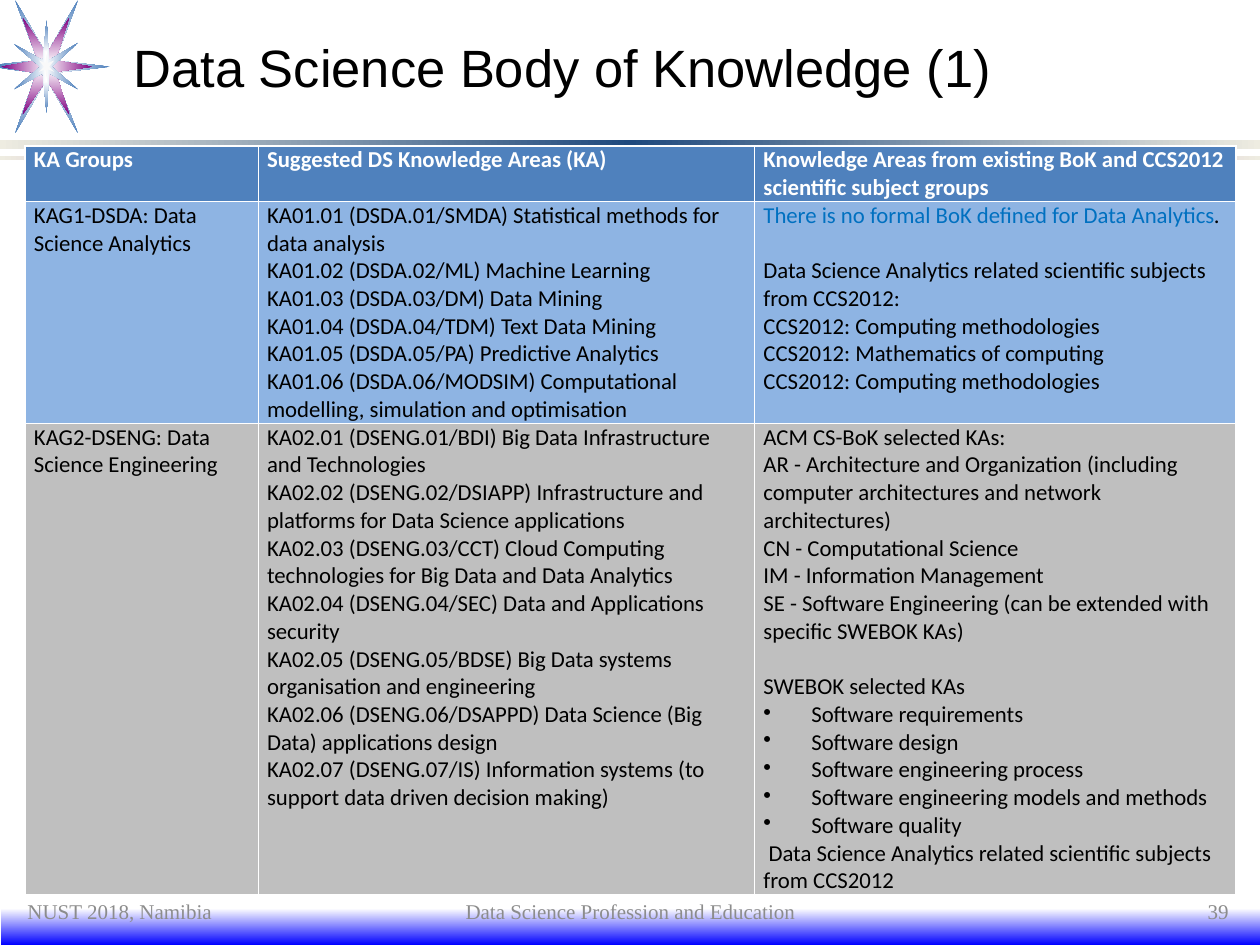
from dataclasses import dataclass

from lxml import etree
from pptx import Presentation
from pptx.dml.color import RGBColor
from pptx.enum import shapes, text
from pptx.oxml import ns
from pptx.util import Inches, Pt


@dataclass(frozen=True)
class Theme:
    black: str = "000000"
    white: str = "FFFFFF"
    blue: str = "4F81BD"
    navy: str = "1F497D"
    purple: str = "800080"
    ivory: str = "EEECE1"
    bright: str = "0000FF"
    core: str = "F9F9F9"
    analytics: str = "8EB4E3"
    engineering: str = "BFBFBF"
    note: str = "0070C0"
    grey: str = "8C8C8C"
    title_font: str = "Arial"
    table_font: str = "Calibri"
    footer_font: str = "Times New Roman"
    title_size: int = 30
    table_size: int = 13
    footer_size: int = 12


THEME = Theme()
ALIGN = text.PP_ALIGN
LINE_HEIGHT = 0.22  # one line of table text, in inches
BULLET = "• "
GAP = "^"  # marks a paragraph with one empty line above it

HEADINGS = (
    "KA Groups",
    "Suggested DS Knowledge Areas (KA)",
    "Knowledge Areas from existing BoK and CCS2012 scientific subject groups",
)
ANALYTICS = (
    "KAG1-DSDA: Data Science Analytics",
    """KA01.01 (DSDA.01/SMDA) Statistical methods for data analysis
KA01.02 (DSDA.02/ML) Machine Learning
KA01.03 (DSDA.03/DM) Data Mining
KA01.04 (DSDA.04/TDM) Text Data Mining
KA01.05 (DSDA.05/PA) Predictive Analytics
KA01.06 (DSDA.06/MODSIM) Computational modelling, simulation and optimisation""",
    """There is no formal BoK defined for Data Analytics.
^Data Science Analytics related scientific subjects from CCS2012:
CCS2012: Computing methodologies
CCS2012: Mathematics of computing
CCS2012: Computing methodologies""",
)
ENGINEERING = (
    "KAG2-DSENG: Data Science Engineering",
    """KA02.01 (DSENG.01/BDI) Big Data Infrastructure and Technologies
KA02.02 (DSENG.02/DSIAPP) Infrastructure and platforms for Data Science applications
KA02.03 (DSENG.03/CCT) Cloud Computing technologies for Big Data and Data Analytics
KA02.04 (DSENG.04/SEC) Data and Applications security
KA02.05 (DSENG.05/BDSE) Big Data systems organisation and engineering
KA02.06 (DSENG.06/DSAPPD) Data Science (Big Data) applications design
KA02.07 (DSENG.07/IS) Information systems (to support data driven decision making)""",
    """ACM CS-BoK selected KAs:
AR - Architecture and Organization (including computer architectures and network architectures)
CN - Computational Science
IM - Information Management
SE - Software Engineering (can be extended with specific SWEBOK KAs)
^SWEBOK selected KAs
• Software requirements
• Software design
• Software engineering process
• Software engineering models and methods
• Software quality
 Data Science Analytics related scientific subjects from CCS2012""",
)

# Star outlines, in hundredths of an inch
OUTER_STAR = [(30, 48), (12, 0), (37, 43), (62, 0), (44, 48), (87, 53), (43, 58),
              (62, 106), (37, 63), (12, 106), (29, 58), (0, 54), (0, 51)]
MIDDLE_STAR = [(30, 48), (18, 14), (37, 43), (55, 14), (44, 48), (73, 53),
               (44, 57), (55, 91), (37, 63), (18, 91), (29, 58), (1, 53)]
INNER_STAR = [(11, 35), (34, 48), (37, 16), (39, 48), (62, 34), (41, 53),
              (62, 71), (39, 58), (37, 90), (34, 58), (11, 71), (32, 53)]
STAR_CORE = [(31, 48), (36, 50), (37, 43), (38, 50), (43, 48), (39, 53),
             (43, 57), (38, 55), (37, 62), (36, 55), (31, 57), (35, 53)]


def rgb(color):
    return RGBColor.from_string(color)


def add_element(parent, tag, **attributes):
    return etree.SubElement(parent, ns.qn(tag), attributes)


def paint(shape, colors, angle=None):
    """Fill with one colour, or evenly spaced stops; no angle means from the centre out."""
    shape.shadow.inherit = False
    shape.line.fill.background()
    if len(colors) == 1:
        shape.fill.solid()
        shape.fill.fore_color.rgb = rgb(colors[0])
        return
    shape.fill.gradient()
    gradient = shape.fill._xPr.find(ns.qn("a:gradFill"))
    for child in list(gradient):
        gradient.remove(child)
    stops = add_element(gradient, "a:gsLst")
    for i, color in enumerate(colors):
        stop = add_element(stops, "a:gs", pos=str(100000 * i // (len(colors) - 1)))
        add_element(stop, "a:srgbClr", val=color)
    if angle is None:
        centre = add_element(gradient, "a:path", path="rect")
        add_element(centre, "a:fillToRect", **dict.fromkeys("ltrb", "50000"))
    else:
        add_element(gradient, "a:lin", ang=str(angle * 60000), scaled="0")


def add_band(slide, left, top, height, colors, angle):
    width = Inches(10 - left)
    band = slide.shapes.add_shape(shapes.MSO_SHAPE.RECTANGLE, Inches(left), Inches(top),
                                  width, Inches(height))
    paint(band, colors, angle)


def add_star(slide, points, *colors):
    builder = slide.shapes.build_freeform(*points[0], scale=Inches(0.01))
    builder.add_line_segments(points[1:], close=True)
    paint(builder.convert_to_shape(), colors)


def style(font, name, size, color, bold=False):
    font.name, font.size, font.bold = name, Pt(size), bold
    font.color.rgb = rgb(color)


def set_title(slide, wording):
    title = slide.shapes.title
    title.left, title.top = Inches(0.98), Inches(0.16)
    title.width, title.height = Inches(8.52), Inches(0.74)
    frame = title.text_frame
    frame.text = wording
    frame.vertical_anchor = text.MSO_ANCHOR.MIDDLE
    frame.margin_left = frame.margin_right = Inches(0.08)
    frame.paragraphs[0].alignment = ALIGN.LEFT
    style(frame.paragraphs[0].font, THEME.title_font, THEME.title_size, THEME.black)


def add_bullet(paragraph):
    properties = paragraph._p.get_or_add_pPr()
    properties.set("marL", str(Inches(0.38)))
    properties.set("indent", str(-Inches(0.38)))
    add_element(properties, "a:buChar", char=BULLET.strip())
    paragraph.alignment = ALIGN.JUSTIFY


def fill_cell(cell, wording, fill, color, bold):
    cell.fill.solid()
    cell.fill.fore_color.rgb = rgb(fill)
    cell.margin_left = cell.margin_right = Inches(0.07)
    cell.margin_top = cell.margin_bottom = 0
    for i, line in enumerate(wording.split("\n")):
        frame = cell.text_frame
        paragraph = frame.add_paragraph() if i else frame.paragraphs[0]
        if line.startswith(BULLET):
            add_bullet(paragraph)
        if line.startswith(GAP):
            paragraph.space_before = Inches(LINE_HEIGHT)
        paragraph.add_run().text = line.removeprefix(BULLET).removeprefix(GAP)
        style(paragraph.font, THEME.table_font, THEME.table_size, color, bold)


def add_knowledge_table(slide):
    widths, line_counts = (1.85, 3.94, 3.82), (2, 8, 17)
    heights = [count * LINE_HEIGHT for count in line_counts]
    table = slide.shapes.add_table(3, 3, Inches(0.2), Inches(1.16), Inches(sum(widths)),
                                   Inches(sum(heights))).table
    table.horz_banding = False
    for column, width in zip(table.columns, widths):
        column.width = Inches(width)
    rows = ((HEADINGS, THEME.blue, THEME.white, True),
            (ANALYTICS, THEME.analytics, THEME.black, False),
            (ENGINEERING, THEME.engineering, THEME.black, False))
    for row, height, (wordings, *look) in zip(table.rows, heights, rows):
        row.height = Inches(height)
        for cell, wording in zip(row.cells, wordings):
            fill_cell(cell, wording, *look)

    bok_note = table.cell(1, 2).text_frame.paragraphs[0]
    sentence = bok_note.runs[0]
    sentence.text = sentence.text.removesuffix(".")
    sentence.font.color.rgb = rgb(THEME.note)
    bok_note.add_run().text = "."


def add_footer(slide, wording, left, width, alignment):
    box = slide.shapes.add_textbox(Inches(left), Inches(7.09), Inches(width), Inches(0.28))
    frame = box.text_frame
    frame.word_wrap = True
    frame.vertical_anchor = text.MSO_ANCHOR.MIDDLE
    frame.text = wording
    frame.paragraphs[0].alignment = alignment
    style(frame.paragraphs[0].font, THEME.footer_font, THEME.footer_size, THEME.grey)


def main():
    deck = Presentation()
    deck.slide_width, deck.slide_height = Inches(10), Inches(7.5)
    slide = deck.slides.add_slide(deck.slide_layouts[5])
    add_band(slide, 0.01, 7.21, 0.29, (THEME.white, THEME.bright), 90)
    add_band(slide, 0, 1.11, 0.07, (THEME.ivory, THEME.navy, THEME.ivory), 0)
    add_band(slide, 0, 1.24, 0.03, (THEME.ivory, THEME.purple, THEME.ivory), 0)
    add_star(slide, OUTER_STAR, THEME.white, THEME.blue)
    add_star(slide, MIDDLE_STAR, THEME.white, THEME.purple)
    add_star(slide, INNER_STAR, THEME.white, THEME.blue)
    add_star(slide, STAR_CORE, THEME.core)
    set_title(slide, "Data Science Body of Knowledge (1)")
    add_knowledge_table(slide)
    add_footer(slide, "NUST 2018, Namibia", 0.12, 2.33, ALIGN.LEFT)
    add_footer(slide, "Data Science Profession and Education", 3.42, 3.17, ALIGN.CENTER)
    add_footer(slide, "39", 7.52, 2.33, ALIGN.RIGHT)
    deck.save("out.pptx")


if __name__ == "__main__":
    main()
